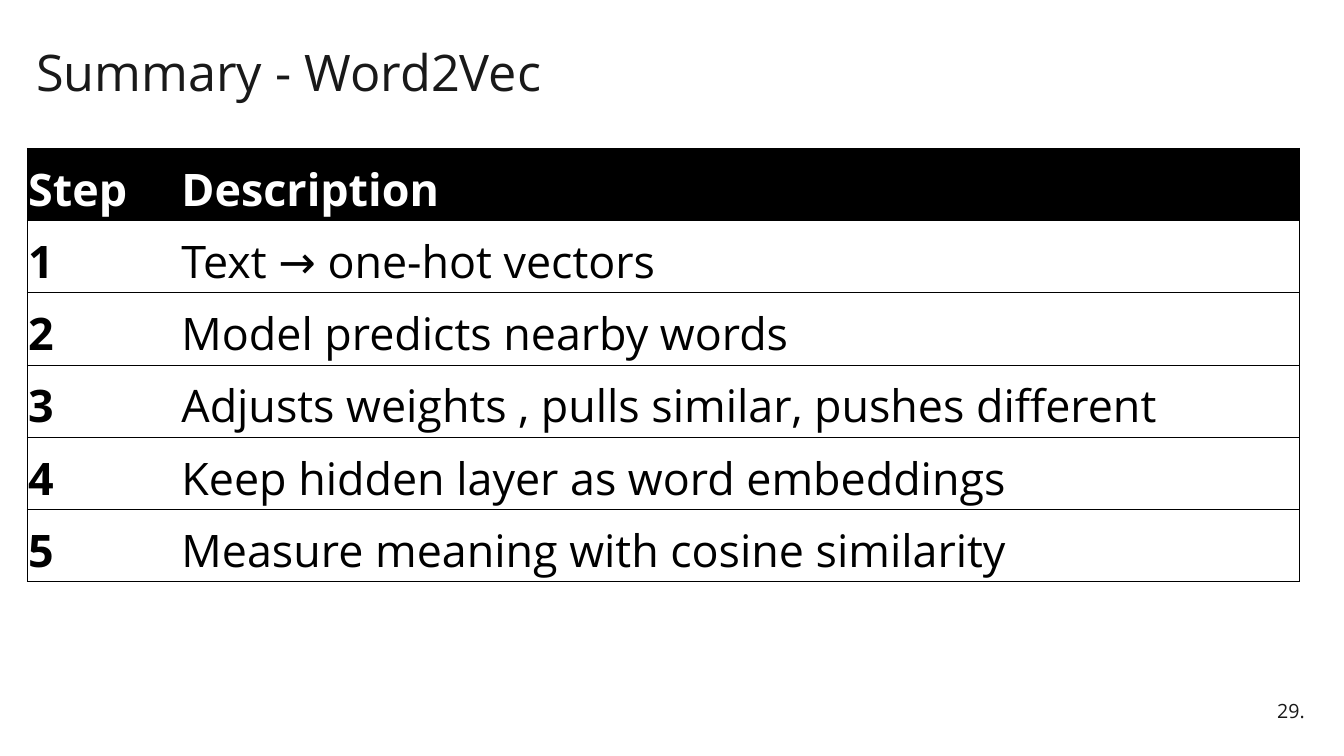
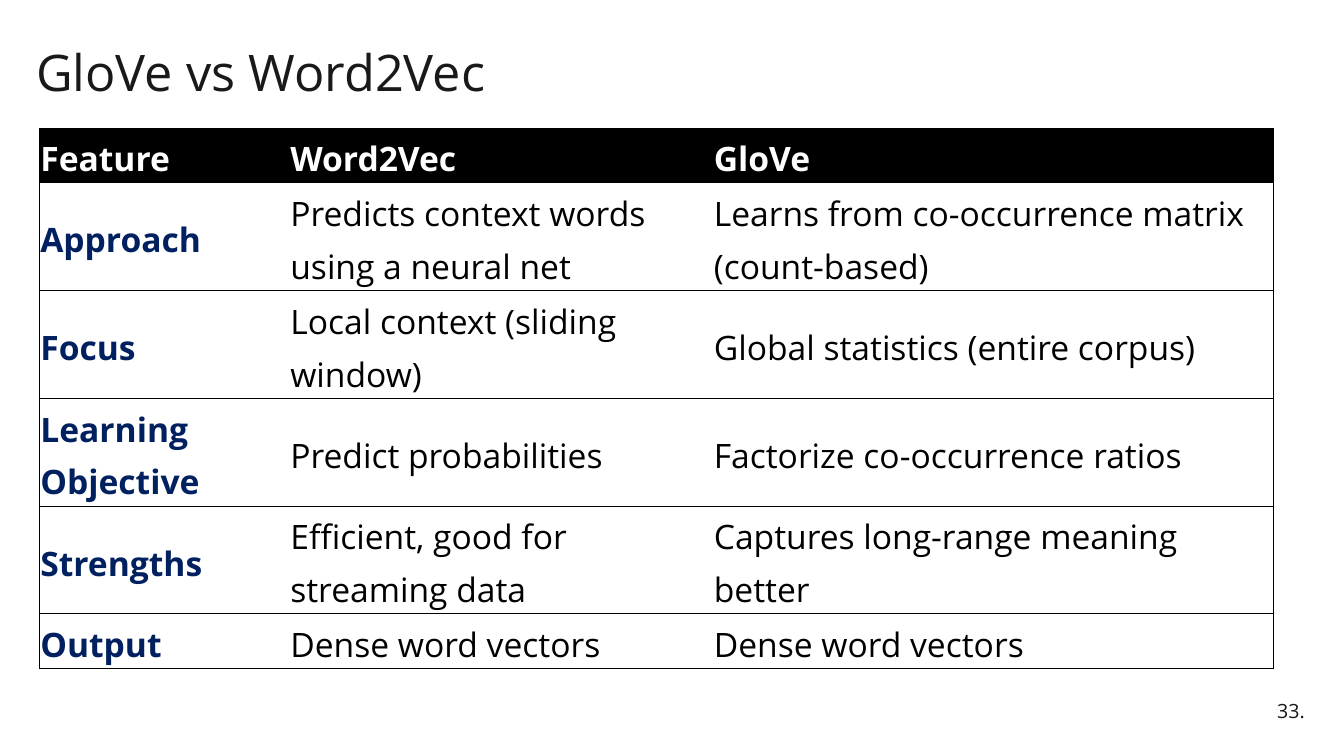
from dataclasses import dataclass

import pptx
import pptx.dml.color
import pptx.enum.text
import pptx.oxml
import pptx.oxml.ns
import pptx.util
from pptx.util import Inches

RGB = pptx.dml.color.RGBColor.from_string
Align = pptx.enum.text.PP_ALIGN
Anchor = pptx.enum.text.MSO_ANCHOR


@dataclass(frozen=True)
class Theme:
    font: str = "Open Sans"
    paper: str = "FFFFFF"
    ink: str = "191919"
    black: str = "000000"
    navy: str = "002060"
    title_size: int = 36
    number_size: int = 14
    border_width: float = 0.5


THEME = Theme()


@dataclass(frozen=True)
class TableSlide:
    title: str
    number: str
    left: float
    top: float
    col_widths: tuple[float, ...]
    row_heights: tuple[float, ...]
    text_size: int
    label_color: str
    rows: tuple[tuple[str, ...], ...]


SLIDES = (
    TableSlide(
        "Summary - Word2Vec", "29.", 0.27, 1.47, (1.52, 11.1), (4.3 / 6,) * 6, 32, THEME.black,
        (
            ("Step", "Description"),
            ("1", "Text → one-hot vectors"),
            ("2", "Model predicts nearby words"),
            ("3", "Adjusts weights , pulls similar, pushes different"),
            ("4", "Keep hidden layer as word embeddings"),
            ("5", "Measure meaning with cosine similarity"),
        ),
    ),
    TableSlide(
        "GloVe vs Word2Vec", "33.", 0.39, 1.27, (2.48, 4.2, 5.56),
        (0.54, *(1.07,) * 4, 0.54), 24, THEME.navy,
        (
            ("Feature", "Word2Vec", "GloVe"),
            ("Approach", "Predicts context words using a neural net",
             "Learns from co-occurrence matrix (count-based)"),
            ("Focus", "Local context (sliding window)", "Global statistics (entire corpus)"),
            ("Learning Objective", "Predict probabilities", "Factorize co-occurrence ratios"),
            ("Strengths", "Efficient, good for streaming data",
             "Captures long-range meaning better"),
            ("Output", "Dense word vectors", "Dense word vectors"),
        ),
    ),
)


def write(tf, text: str, size: int, color: str, bold: bool = False,
          spacing: float = 0.9, after: int = 0, align=Align.LEFT) -> None:
    tf.text = text
    tf.word_wrap = True
    p = tf.paragraphs[0]
    p.alignment = align
    p.line_spacing = spacing
    p.space_after = pptx.util.Pt(after)
    for r in p.runs:
        r.font.name = THEME.font
        r.font.size = pptx.util.Pt(size)
        r.font.bold = bold
        r.font.color.rgb = RGB(color)


def add_text(s, left: float, top: float, width: float, height: float,
             text: str, size: int, after: int = 0, align=Align.LEFT) -> None:
    sp = s.shapes.add_textbox(Inches(left), Inches(top), Inches(width), Inches(height))
    sp.text_frame.vertical_anchor = Anchor.MIDDLE
    write(sp.text_frame, text, size, THEME.ink, after=after, align=align)


def set_borders(cell, sides: str) -> None:
    """Draw the named sides (of L, R, T, B) and clear the others."""
    tc_pr = cell._tc.get_or_add_tcPr()
    for side in "LRTB":
        fill = (f'<a:solidFill><a:srgbClr val="{THEME.black}"/></a:solidFill>'
                if side in sides else "<a:noFill/>")
        tc_pr.append(pptx.oxml.parse_xml(
            f'<a:ln{side} {pptx.oxml.ns.nsdecls("a")} '
            f'w="{pptx.util.Pt(THEME.border_width)}">{fill}</a:ln{side}>'))


def add_table(s, data: TableSlide) -> None:
    n_rows, n_cols = len(data.rows), len(data.col_widths)
    table = s.shapes.add_table(
        n_rows, n_cols, Inches(data.left), Inches(data.top),
        Inches(sum(data.col_widths)), Inches(sum(data.row_heights))).table
    table.first_row = table.horz_banding = False
    for column, width in zip(table.columns, data.col_widths):
        column.width = Inches(width)
    for table_row, height in zip(table.rows, data.row_heights):
        table_row.height = Inches(height)
    for i, row in enumerate(data.rows):
        for j, text in enumerate(row):
            cell = table.cell(i, j)
            header, label = i == 0, j == 0
            # Outer frame and row rules only, no rules between columns
            set_borders(cell, "TB" + "L" * label + "R" * (j == n_cols - 1))
            cell.fill.solid()
            cell.fill.fore_color.rgb = RGB(THEME.black if header else THEME.paper)
            cell.vertical_anchor = Anchor.MIDDLE
            cell.margin_left = cell.margin_right = Inches(0.01)
            cell.margin_top = cell.margin_bottom = Inches(0.01)
            color = THEME.paper if header else data.label_color if label else THEME.black
            write(cell.text_frame, text, data.text_size, color,
                  bold=header or label, spacing=1.15, after=8)


def add_slide(prs, data: TableSlide) -> None:
    s = prs.slides.add_slide(prs.slide_layouts[6])
    s.background.fill.solid()
    s.background.fill.fore_color.rgb = RGB(THEME.paper)
    # Title, page number, then the table
    add_text(s, 0.26, 0.42, 11.5, 0.65, data.title, THEME.title_size)
    add_text(s, 11.62, 6.87, 1.42, 0.4, data.number, THEME.number_size,
             after=6, align=Align.RIGHT)
    add_table(s, data)


def main() -> None:
    prs = pptx.Presentation()
    prs.slide_width, prs.slide_height = Inches(13.33), Inches(7.5)
    for data in SLIDES:
        add_slide(prs, data)
    prs.save("out.pptx")


if __name__ == "__main__":
    main()
